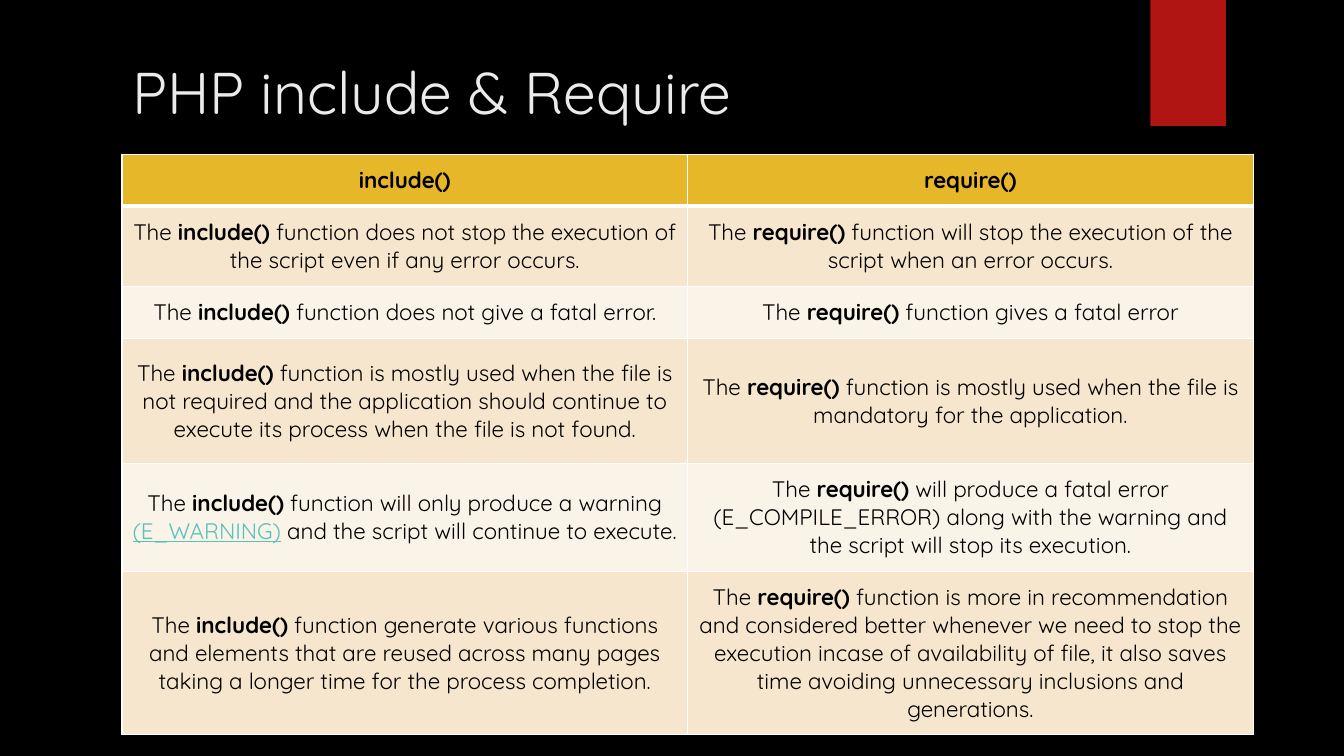
from lxml.etree import SubElement
from pptx import Presentation
from pptx.dml.color import RGBColor
from pptx.enum.shapes import MSO_SHAPE
from pptx.enum.text import MSO_ANCHOR, MSO_AUTO_SIZE, PP_ALIGN
from pptx.oxml.ns import qn
from pptx.util import Inches, Pt

COLORS = {
    "background": "000000", "ribbon": "B01513", "title": "EBEBEB",
    "header": "E6B729", "odd_row": "F5E6CD", "even_row": "FAF3E8",
    "text": "000000", "link": "58C1BA", "border": "FFFFFF",
}
FUNCTIONS = ["include()", "require()"]
WARNING = "(E_WARNING)"
ROW_HEIGHTS = [0.48, 0.73, 0.48, 1.24, 0.99, 1.5]
# Each sentence continues "The include()" or "The require()"
COMPARISONS = [
    ("function does not stop the execution of the script even if any error occurs.",
     "function will stop the execution of the script when an error occurs."),
    ("function does not give a fatal error.",
     "function gives a fatal error"),
    ("function is mostly used when the file is not required and the application "
     "should continue to execute its process when the file is not found.",
     "function is mostly used when the file is mandatory for the application."),
    ("function will only produce a warning (E_WARNING) and the script will "
     "continue to execute.",
     "will produce a fatal error (E_COMPILE_ERROR) along with the warning and "
     "the script will stop its execution."),
    ("function generate various functions and elements that are reused across "
     "many pages taking a longer time for the process completion.",
     "function is more in recommendation and considered better whenever we need "
     "to stop the execution incase of availability of file, it also saves time "
     "avoiding unnecessary inclusions and generations."),
]


def add_text(paragraph, text, size=16, color="text", bold=False, underline=False):
    run = paragraph.add_run()
    run.text = text
    run.font.name = "Quicksand"
    run.font.size = Pt(size)
    run.font.bold = bold
    run.font.underline = underline
    run.font.color.rgb = RGBColor.from_string(COLORS[color])


def add_borders(cell, widths):
    """Draw the left, right, top and bottom borders, widths in points."""
    properties = cell._tc.get_or_add_tcPr()
    for side, width in zip("LRTB", widths):
        line = SubElement(properties, qn(f"a:ln{side}"), w=str(Pt(width)))
        fill = SubElement(line, qn("a:solidFill"))
        SubElement(fill, qn("a:srgbClr"), val=COLORS["border"])


presentation = Presentation()
presentation.slide_width = Inches(13.33)
presentation.slide_height = Inches(7.5)
slide = presentation.slides.add_slide(presentation.slide_layouts[5])
slide.background.fill.solid()
slide.background.fill.fore_color.rgb = RGBColor.from_string(COLORS["background"])

# Ribbon
ribbon = slide.shapes.add_shape(
    MSO_SHAPE.RECTANGLE, Inches(11.41), 0, Inches(0.75), Inches(1.25))
ribbon.shadow.inherit = False
ribbon.fill.solid()
ribbon.fill.fore_color.rgb = RGBColor.from_string(COLORS["ribbon"])
ribbon.line.fill.background()

# Title
title = slide.shapes.title
title.left, title.top = Inches(1.21), Inches(0.5)
title.width, title.height = Inches(10.32), Inches(1.24)
title.text_frame.auto_size = MSO_AUTO_SIZE.NONE
title.text_frame.vertical_anchor = MSO_ANCHOR.TOP
heading = title.text_frame.paragraphs[0]
heading.alignment = PP_ALIGN.LEFT
add_text(heading, "PHP include & Require", size=42, color="title")

# Comparison table
comparison = slide.shapes.add_table(
    len(ROW_HEIGHTS), len(FUNCTIONS), Inches(1.21), Inches(1.53),
    Inches(11.22), Inches(sum(ROW_HEIGHTS))).table
for row, height in enumerate(ROW_HEIGHTS):
    comparison.rows[row].height = Inches(height)
    for column, function in enumerate(FUNCTIONS):
        cell = comparison.cell(row, column)
        cell.vertical_anchor = MSO_ANCHOR.MIDDLE
        cell.margin_left = cell.margin_right = Inches(0.08)
        cell.margin_top = cell.margin_bottom = Inches(0.12)

        # The rule under the header is thicker than the others
        add_borders(cell, [1, 1, 3 if row == 1 else 1, 3 if row == 0 else 1])
        band = "header" if row == 0 else "odd_row" if row % 2 else "even_row"
        cell.fill.solid()
        cell.fill.fore_color.rgb = RGBColor.from_string(COLORS[band])

        sentence = cell.text_frame.paragraphs[0]
        sentence.alignment = PP_ALIGN.CENTER
        if row == 0:
            add_text(sentence, function, bold=True)
            continue
        before, warning, after = COMPARISONS[row - 1][column].partition(WARNING)
        add_text(sentence, "The ")
        add_text(sentence, function, bold=True)
        add_text(sentence, " " + before)
        if warning:
            add_text(sentence, warning, color="link", underline=True)
            add_text(sentence, after)

presentation.save("out.pptx")
